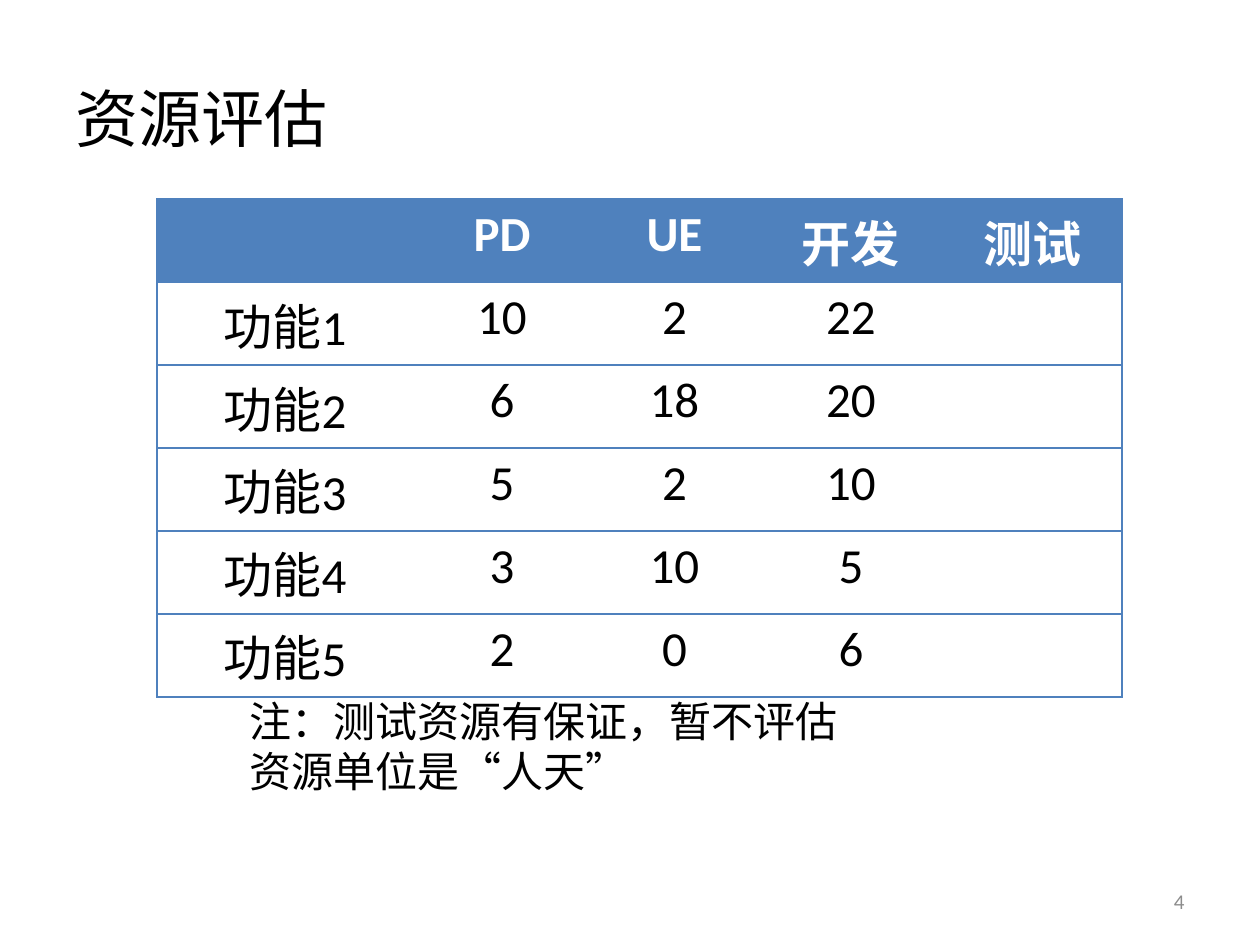
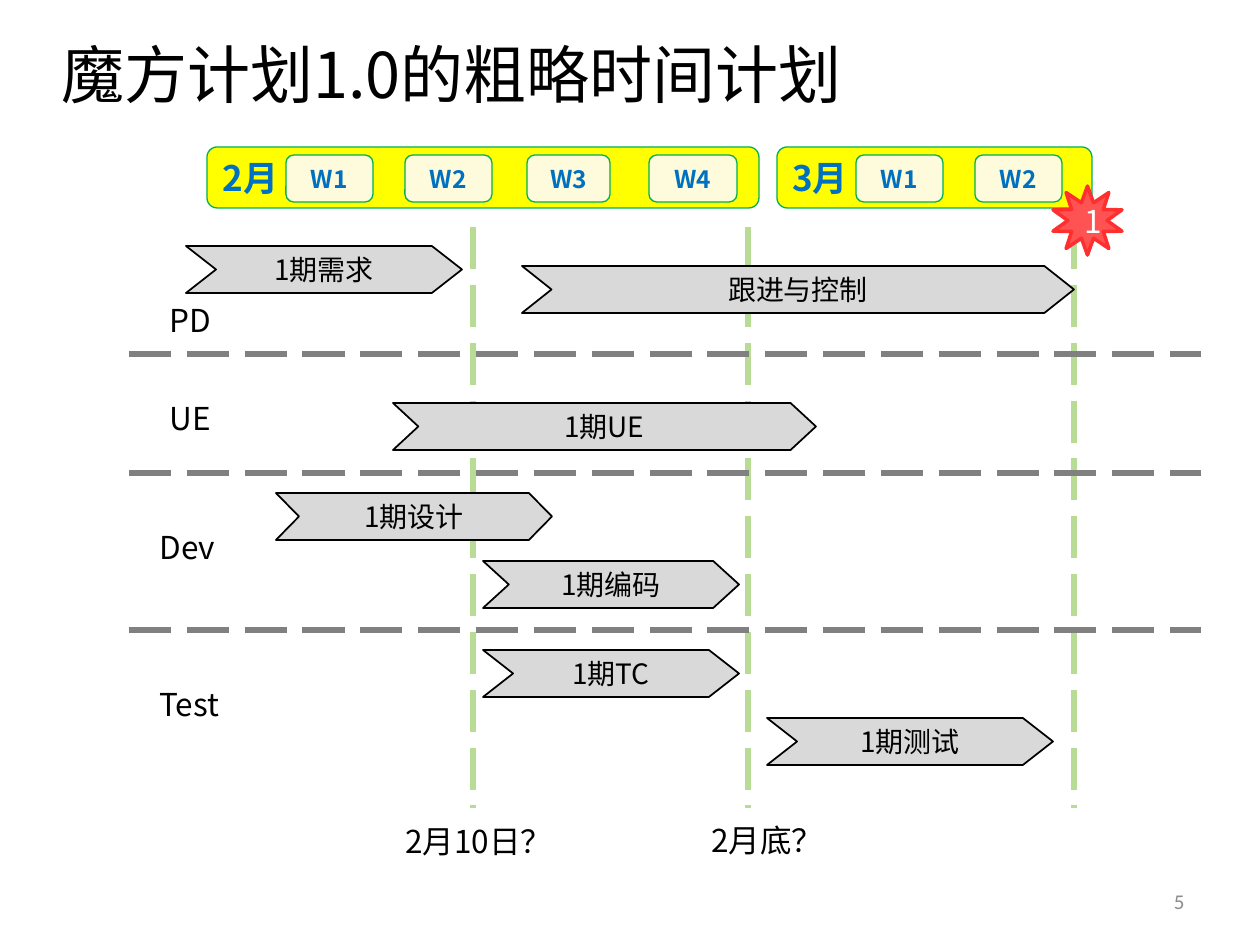
from lxml import etree
from pptx import Presentation
from pptx.dml.color import RGBColor
from pptx.enum.dml import MSO_LINE
from pptx.enum.shapes import MSO_CONNECTOR, MSO_SHAPE
from pptx.enum.text import MSO_ANCHOR, PP_ALIGN
from pptx.oxml.ns import qn
from pptx.util import Pt

LEFT, CENTER, RIGHT = PP_ALIGN.LEFT, PP_ALIGN.CENTER, PP_ALIGN.RIGHT
TOP, MIDDLE = MSO_ANCHOR.TOP, MSO_ANCHOR.MIDDLE
ROUNDED = MSO_SHAPE.FLOWCHART_ALTERNATE_PROCESS
CHEVRON, STAR = MSO_SHAPE.CHEVRON, MSO_SHAPE.STAR_10_POINT
STRAIGHT, LONG_DASH = MSO_CONNECTOR.STRAIGHT, MSO_LINE.LONG_DASH

SCALE = 914400 / 126
CJK, LATIN = "Noto Sans CJK SC", "Calibri"
BLACK, WHITE, GRAY = "000000", "FFFFFF", "8C8C8C"
TABLE_BLUE, TEXT_BLUE, GREEN = "4F81BD", "0070C0", "00B050"
YELLOW, CREAM, BAR_GRAY = "FFFF00", "FDFBDB", "D9D9D9"
DATE_LINE, LANE_LINE = "B8DB95", "808080"
STAR_FILL, STAR_LINE = "FF5353", "FF2F2F"


def px(n):
    """Turn pixels into EMU."""
    return round(n * SCALE)


def rgb(value):
    """Turn a hex string into a colour."""
    return RGBColor.from_string(value)


def write(tf, text, size, color, font=CJK, bold=False, align=LEFT, anchor=TOP):
    """Write text into a frame, one run per line."""
    tf.vertical_anchor = anchor
    p = tf.paragraphs[0]
    p.alignment = align
    for i, line in enumerate(text.split("\n")):
        if i:
            p.add_line_break()
        r = p.add_run()
        r.text = line
        r.font.size = Pt(size)
        r.font.bold = bold
        r.font.name = font
        r.font.color.rgb = rgb(color)
        ea = etree.SubElement(r.font._element, qn("a:ea"))
        ea.set("typeface", CJK)


def add_text(s, x, y, w, h, text, size, color=BLACK, wrap=True, **style):
    """Add a text box."""
    sp = s.shapes.add_textbox(px(x), px(y), px(w), px(h))
    sp.text_frame.word_wrap = wrap
    write(sp.text_frame, text, size, color, **style)


def add_box(s, kind, x, y, w, h, fill, line, width, adj=None):
    """Add a filled and outlined shape without shadow."""
    sp = s.shapes.add_shape(kind, px(x), px(y), px(w), px(h))
    sp.shadow.inherit = False
    sp.fill.solid()
    sp.fill.fore_color.rgb = rgb(fill)
    sp.line.color.rgb = rgb(line)
    sp.line.width = Pt(width)
    if adj is not None:
        sp.adjustments[0] = adj
    return sp.text_frame


def add_dash(s, x1, y1, x2, y2, color):
    """Add a long-dashed line."""
    c = s.shapes.add_connector(STRAIGHT, px(x1), px(y1), px(x2), px(y2))
    c.line.color.rgb = rgb(color)
    c.line.width = Pt(3)
    c.line.dash_style = LONG_DASH
    etree.SubElement(c._element.spPr, qn("a:effectLst"))


def add_title(s, x, y, w, h, text):
    """Add the slide title."""
    add_text(s, x, y, w, h, text, 36, anchor=MIDDLE)


def add_number(s, number):
    """Add the slide number in the footer."""
    add_text(s, 1033, 876, 164, 50, str(number), 12, GRAY,
             font=LATIN, align=RIGHT, anchor=MIDDLE)


def set_borders(cell, sides):
    """Draw the named borders of a cell and clear the others."""
    tc_pr = cell._tc.get_or_add_tcPr()
    for i, side in enumerate("LRTB"):
        ln = etree.Element(qn("a:ln" + side), w="12700")
        if side in sides:
            fill = etree.SubElement(ln, qn("a:solidFill"))
            etree.SubElement(fill, qn("a:srgbClr"), val=TABLE_BLUE)
        else:
            etree.SubElement(ln, qn("a:noFill"))
        tc_pr.insert(i, ln)


def add_estimate(s, x, y, widths, row_h, rows):
    """Add the table of resources by function and role."""
    last = len(widths) - 1
    table = s.shapes.add_table(len(rows), len(widths), px(x), px(y),
                               px(sum(widths)), px(row_h * len(rows))).table
    for col, w in zip(table.columns, widths):
        col.width = px(w)
    for i, row in enumerate(rows):
        table.rows[i].height = px(row_h)
        head = i == 0
        for j, text in enumerate(row):
            cell = table.cell(i, j)
            cell.fill.solid()
            cell.fill.fore_color.rgb = rgb(TABLE_BLUE if head else WHITE)
            set_borders(cell, "TB" + "L" * (j == 0) + "R" * (j == last))
            if text:
                write(cell.text_frame, text, 28, WHITE if head else BLACK,
                      font=LATIN, bold=head, align=CENTER)


def add_month(s, x, y, w, h, name, weeks):
    """Add a month band with its week chips."""
    tf = add_box(s, ROUNDED, x, y, w, h, YELLOW, GREEN, 0.75)
    write(tf, name, 20, TEXT_BLUE, bold=True, anchor=MIDDLE)
    chips = [(79, 87), (198, 87), (320, 83), (442, 88)]
    for n, (dx, chip_w) in enumerate(chips[:weeks], 1):
        tf = add_box(s, ROUNDED, x + dx, y + 8, chip_w, 47, CREAM, GREEN, 0.75)
        write(tf, f"W{n}", 14, TEXT_BLUE, bold=True, align=CENTER, anchor=MIDDLE)


def add_timeline(s, x, y, w):
    """Add the plan: months, date lines, lanes and task bars."""
    for dx in (344, 619, 945):
        add_dash(s, x + dx, y + 80, x + dx, y + 661, DATE_LINE)
    add_month(s, x + 78, y, 552, 61, "2月", 4)
    add_month(s, x + 648, y, 315, 61, "3月", 2)
    lanes = [("PD", 28, 148, 69), ("UE", 28, 246, 67),
             ("Dev", 18, 375, 84), ("Test", 18, 532, 86)]
    for name, dx, dy, lane_w in lanes:
        add_text(s, x + dx, y + dy, lane_w, 50, name, 18, wrap=False)
    tf = add_box(s, STAR, x + 924, y + 39, 69, 69, STAR_FILL, STAR_LINE, 2, 0.27)
    write(tf, "1", 18, WHITE, align=CENTER, anchor=MIDDLE)
    tasks = [("1期需求", 57, 99, 276, 0.64), ("跟进与控制", 393, 119, 552, 0.63),
             ("1期UE", 264, 256, 423, 0.54), ("1期设计", 147, 346, 276, 0.49),
             ("1期编码", 354, 414, 256, 0.55), ("1期TC", 354, 503, 256, 0.64),
             ("1期测试", 638, 571, 286, 0.64)]
    for name, dx, dy, task_w, adj in tasks:
        tf = add_box(s, CHEVRON, x + dx, y + dy, task_w, 47, BAR_GRAY, BLACK, 1, adj)
        write(tf, name, 16, BLACK, align=CENTER, anchor=MIDDLE)
    add_text(s, x + 264, y + 669, 168, 50, "2月10日？", 18)
    add_text(s, x + 570, y + 668, 129, 50, "2月底？", 18)
    for dy in (207, 326, 483):
        add_dash(s, x, y + dy, x + w, y + dy, LANE_LINE)


def estimate_slide(prs):
    """Build the resource estimate slide."""
    s = prs.slides.add_slide(prs.slide_layouts[6])
    add_title(s, 63, 38, 1134, 158, "资源评估")
    values = [("10", "2", "22"), ("6", "18", "20"), ("5", "2", "10"),
              ("3", "10", "5"), ("2", "0", "6")]
    rows = [("", "PD", "UE", "开发", "测试")]
    rows += [(f"功能{n}", *v, "") for n, v in enumerate(values, 1)]
    add_estimate(s, 157, 199, (256, 178, 167, 186, 178), 83, rows)
    add_text(s, 237, 689, 619, 115, "注：测试资源有保证，暂不评估\n资源单位是“人天”",
             24, wrap=False)
    add_number(s, 4)


def plan_slide(prs):
    """Build the schedule slide."""
    s = prs.slides.add_slide(prs.slide_layouts[6])
    add_title(s, 49, 29, 1134, 88, "魔方计划1.0的粗略时间计划")
    add_timeline(s, 129, 147, 1072)
    add_number(s, 5)


def main():
    """Build and save the presentation."""
    prs = Presentation()
    prs.slide_width, prs.slide_height = px(1260), px(945)
    estimate_slide(prs)
    plan_slide(prs)
    prs.save("out.pptx")


main()
